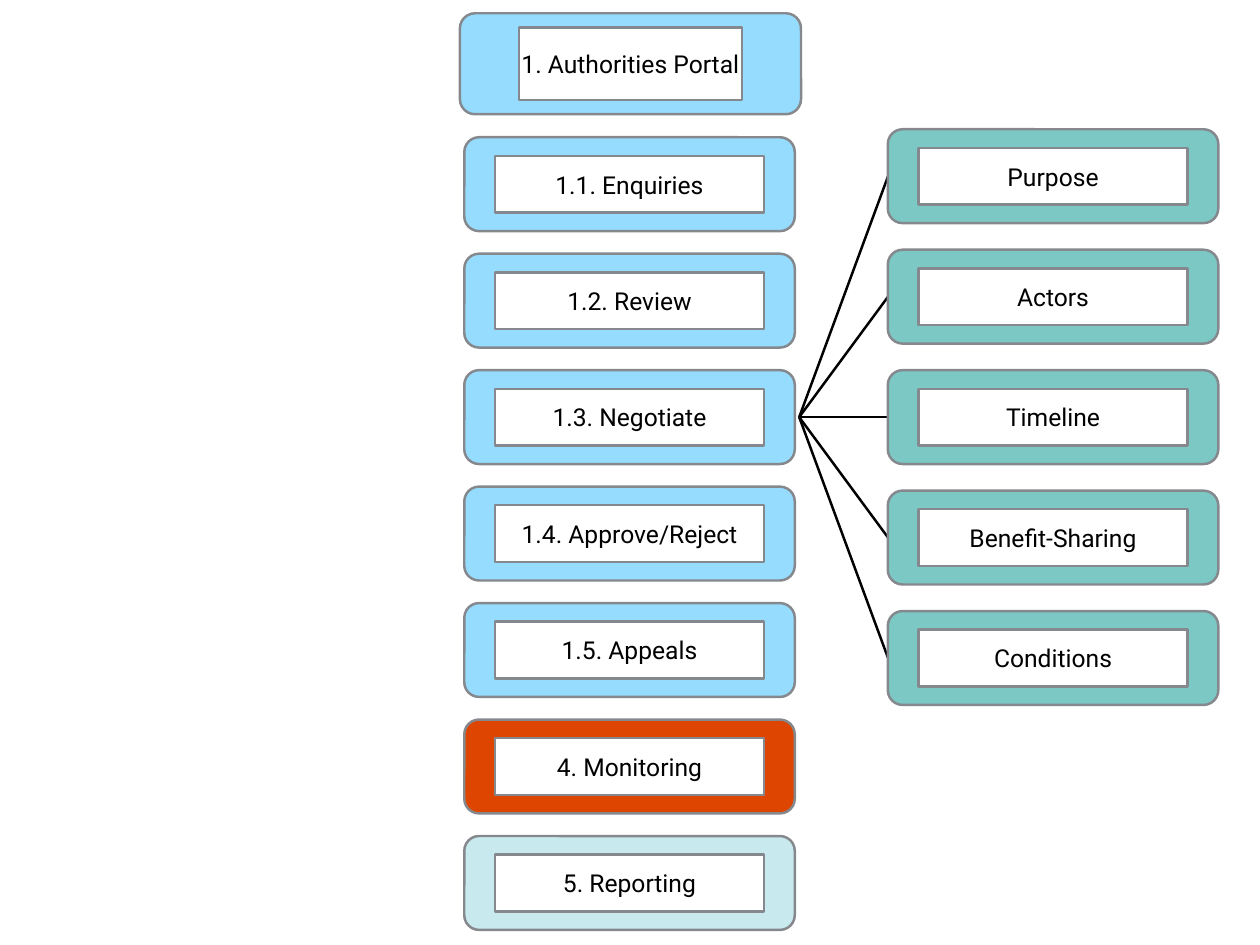
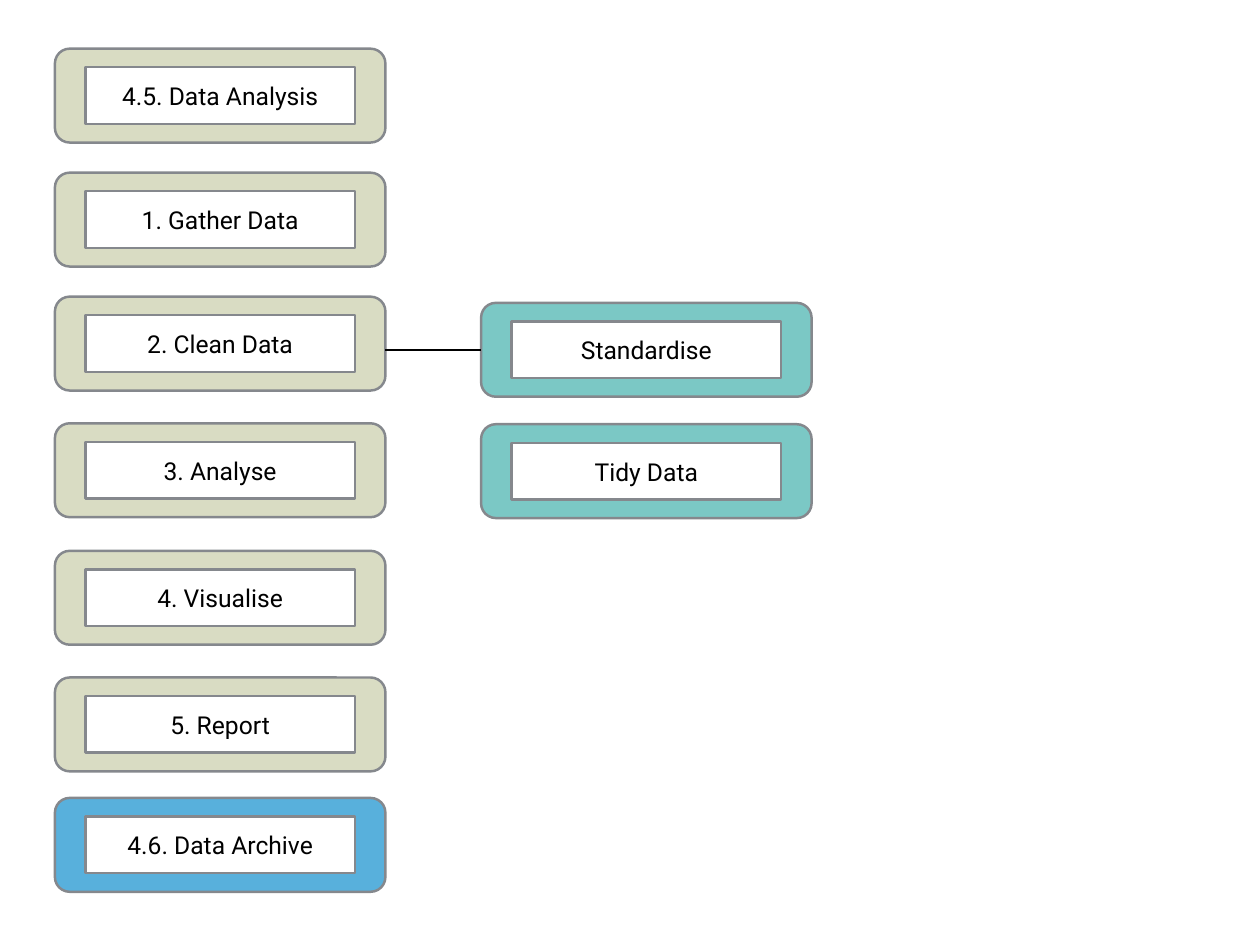
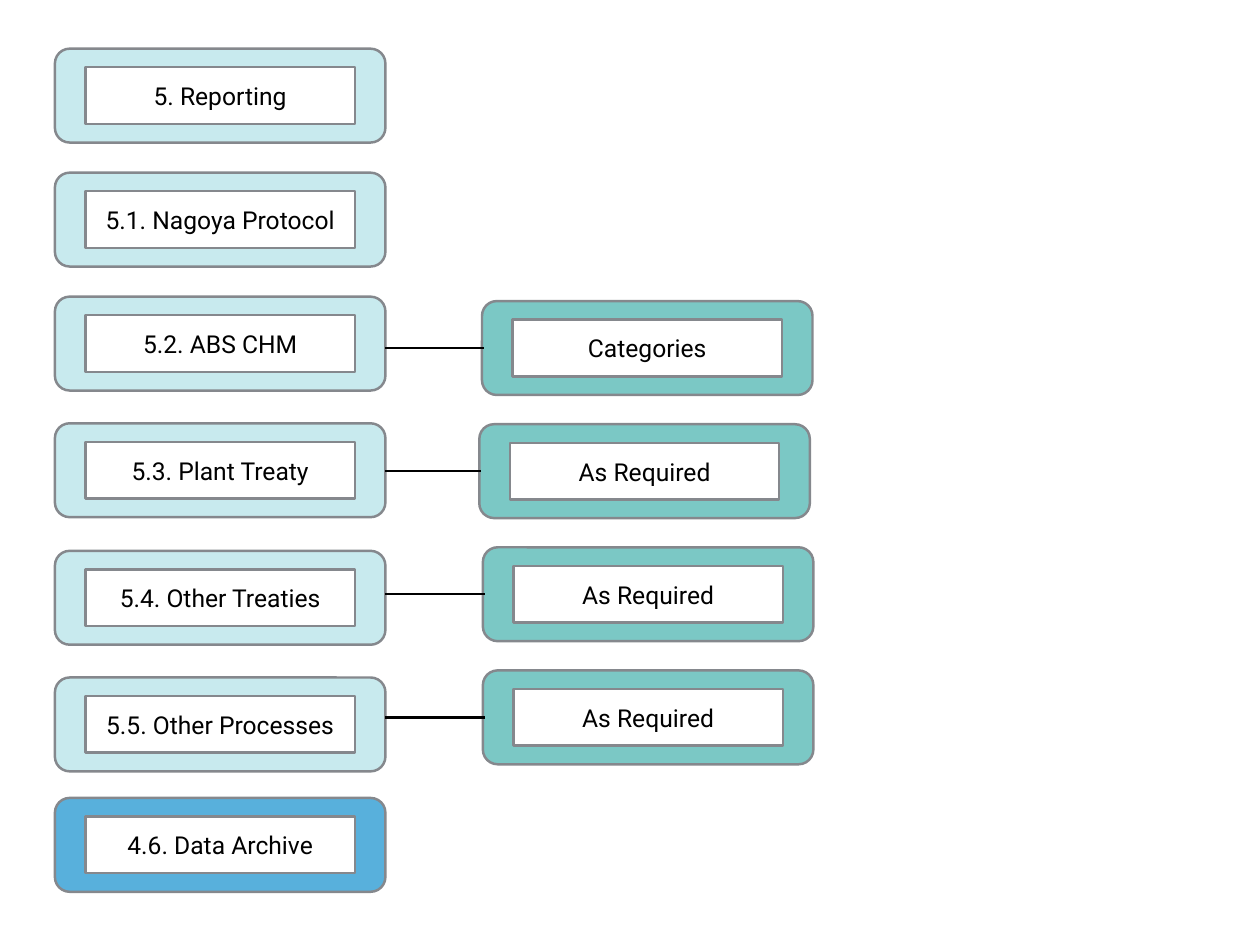
from lxml import etree
from pptx import Presentation
from pptx.dml.color import RGBColor
from pptx.enum import shapes, text
from pptx.oxml.ns import qn
from pptx.util import Inches, Pt

# Shared style
SKY = RGBColor(0x95, 0xDC, 0xFF)
TEAL = RGBColor(0x7B, 0xC8, 0xC5)
ORANGE = RGBColor(0xDE, 0x45, 0x00)
ICE = RGBColor(0xC8, 0xEA, 0xEE)
SAGE = RGBColor(0xD9, 0xDC, 0xC3)
BLUE = RGBColor(0x58, 0xB0, 0xDC)
GREY = RGBColor(0x85, 0x88, 0x8D)
WHITE = RGBColor(0xFF, 0xFF, 0xFF)
BLACK = RGBColor(0, 0, 0)
FONT = "Roboto"
CARD = (3.73, 1.06)
LABEL = (3.04, 0.64)

# Portal slide
PORTAL_TITLE = "1. Authorities Portal"
PORTAL_STEPS = [
    ("1.1. Enquiries", SKY),
    ("1.2. Review", SKY),
    ("1.3. Negotiate", SKY),
    ("1.4. Approve/Reject", SKY),
    ("1.5. Appeals", SKY),
    ("4. Monitoring", ORANGE),
    ("5. Reporting", ICE),
]
NEGOTIATE_TOPICS = ["Purpose", "Actors", "Timeline", "Benefit-Sharing", "Conditions"]

# Process slides: main column, then details as (text, left)
STEP_LEFT = 0.62
STEP_TOPS = [0.55, 1.95, 3.35, 4.78, 6.22, 7.65, 9.01]
ARCHIVE = "4.6. Data Archive"
PROCESSES = [
    {
        "color": SAGE,
        "steps": ["4.5. Data Analysis", "1. Gather Data", "2. Clean Data",
                  "3. Analyse", "4. Visualise", "5. Report"],
        "details": [("Standardise", 5.43), ("Tidy Data", 5.43)],
        "detail_top": 3.42, "detail_step": 1.37, "linked": 1, "overlap": 0,
    },
    {
        "color": ICE,
        "steps": ["5. Reporting", "5.1. Nagoya Protocol", "5.2. ABS CHM",
                  "5.3. Plant Treaty", "5.4. Other Treaties", "5.5. Other Processes"],
        "details": [("Categories", 5.44), ("As Required", 5.41),
                    ("As Required", 5.45), ("As Required", 5.45)],
        "detail_top": 3.4, "detail_step": 1.39, "linked": 4, "overlap": 0.02,
    },
]


def add_box(parent, kind, left, top, size, fill):
    box = parent.shapes.add_shape(kind, Inches(left), Inches(top), *map(Inches, size))
    box.shadow.inherit = False
    box.fill.solid()
    box.fill.fore_color.rgb = fill
    box.line.color.rgb = GREY
    box.line.width = Pt(2)
    return box


def write(box, words, size=20, color=BLACK, align=text.PP_ALIGN.CENTER, inset=0.03):
    frame = box.text_frame
    frame.word_wrap = True
    frame.vertical_anchor = text.MSO_ANCHOR.MIDDLE
    frame.margin_left = frame.margin_right = Inches(inset)
    frame.margin_top = frame.margin_bottom = Inches(inset)
    para = frame.paragraphs[0]
    para.alignment = align
    span = para.add_run()
    span.text = words
    span.font.name = FONT
    span.font.size = Pt(size)
    span.font.color.rgb = color


def add_card(page, words, left, top, color, size=CARD, label_size=LABEL, corner=0.157):
    """Rounded card with a white label centred on it."""
    group = page.shapes.add_group_shape()
    card = add_box(group, shapes.MSO_SHAPE.ROUNDED_RECTANGLE, left, top, size, color)
    card.adjustments[0] = corner
    label = add_box(group, shapes.MSO_SHAPE.RECTANGLE,
                    left + (size[0] - label_size[0]) / 2,
                    top + (size[1] - label_size[1]) / 2, label_size, WHITE)
    write(label, words)


def add_link(page, *ends):
    line = page.shapes.add_connector(shapes.MSO_CONNECTOR.STRAIGHT, *map(Inches, ends))
    line.line.color.rgb = BLACK
    line.line.width = Pt(2)
    etree.SubElement(line._element.spPr, qn("a:effectLst"))


def build_portal(page):
    # Main column
    add_card(page, PORTAL_TITLE, 5.19, 0.15, SKY, (3.85, 1.14), (2.52, 0.82), 0.15)
    for i, (words, color) in enumerate(PORTAL_STEPS):
        add_card(page, words, 5.24, 1.55 + 1.315 * i, color)
    # Topics fanning out from the negotiation step
    for i, words in enumerate(NEGOTIATE_TOPICS):
        add_link(page, 9.02, 4.71, 10.03, 4.71 + 1.37 * (i - 2))
        add_card(page, words, 10.02, 1.46 + 1.36 * i, TEAL)


def build_process(page, process):
    # Main column, closed by the archive
    for words, top in zip(process["steps"] + [ARCHIVE], STEP_TOPS):
        color = BLUE if words == ARCHIVE else process["color"]
        add_card(page, words, STEP_LEFT, top, color)
    # Details and their links
    for i, (words, left) in enumerate(process["details"]):
        top = process["detail_top"] + process["detail_step"] * i
        add_card(page, words, left, top, TEAL)
        if i < process["linked"]:
            middle = top + CARD[1] / 2
            add_link(page, STEP_LEFT + CARD[0], middle, left + process["overlap"], middle)


def main():
    deck = Presentation()
    deck.slide_width, deck.slide_height = Inches(14.22), Inches(10.67)
    blank = deck.slide_layouts[6]
    build_portal(deck.slides.add_slide(blank))
    for process in PROCESSES:
        build_process(deck.slides.add_slide(blank), process)
    deck.save("out.pptx")


if __name__ == "__main__":
    main()
